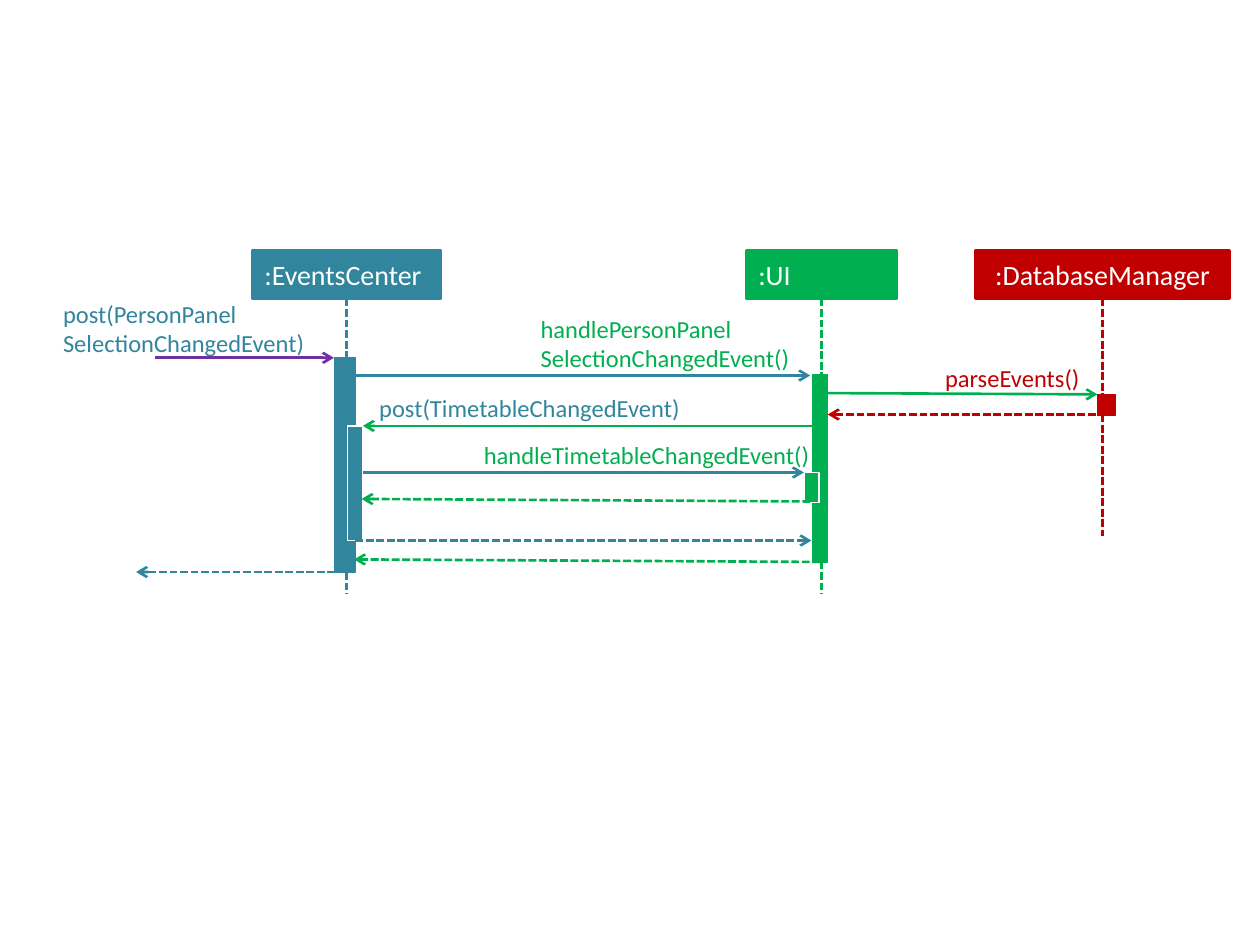
from lxml.etree import SubElement
from pptx import Presentation
from pptx.dml.color import RGBColor
from pptx.enum.dml import MSO_LINE as Dash
from pptx.enum.shapes import MSO_CONNECTOR as Conn, MSO_SHAPE as Shape
from pptx.enum.text import MSO_ANCHOR as Anchor, PP_ALIGN as Align
from pptx.oxml.ns import qn
from pptx.util import Pt

PX = 9144
TEAL = RGBColor(0x31, 0x85, 0x9C)
GREEN = RGBColor(0x00, 0xB0, 0x50)
RED = RGBColor(0xC0, 0x00, 0x00)
PURPLE = RGBColor(0x70, 0x30, 0xA0)
WHITE = RGBColor(0xFF, 0xFF, 0xFF)

deck = Presentation()
deck.slide_width, deck.slide_height = 1000 * PX, 750 * PX
slide = deck.slides.add_slide(deck.slide_layouts[6])
shapes = slide.shapes


def write(text, shape, size=14, color=WHITE, align=Align.LEFT, inset=None, anchor=Anchor.TOP):
    frame = shape.text_frame
    frame.word_wrap = True
    frame.vertical_anchor = anchor
    if inset is not None:
        frame.margin_left = frame.margin_right = inset
        frame.margin_top = frame.margin_bottom = inset
    frame.text = text
    for para in frame.paragraphs:
        para.alignment = align
        para.font.name = "Calibri"
        para.font.size = Pt(size)
        para.font.color.rgb = color


def link(x1, y1, x2, y2, color, dashed=False, arrow=True):
    line = shapes.add_connector(Conn.STRAIGHT, x1 * PX, y1 * PX, x2 * PX, y2 * PX)
    line.line.color.rgb = color
    line.line.width = Pt(1.5)
    if dashed:
        line.line.dash_style = Dash.SQUARE_DOT
    if arrow:
        SubElement(line.line._get_or_add_ln(), qn("a:tailEnd"), type="arrow")
    SubElement(line._element.spPr, qn("a:effectLst"))
    return line


actors = [
    (":DatabaseManager", 774, 202, 425, RED, Align.CENTER),
    (":EventsCenter", 200, 150, 471, TEAL, Align.JUSTIFY),
    (":UI", 592, 120, 471, GREEN, Align.JUSTIFY),
]
for name, x, w, end, color, align in actors:
    box = shapes.add_shape(Shape.RECTANGLE, x * PX, 199 * PX, w * PX, 38 * PX)
    box.shadow.inherit = False
    box.fill.solid()
    box.fill.fore_color.rgb = color
    box.line.color.rgb = color
    box.line.width = Pt(1.5)
    write(name, box, size=16, align=align, anchor=Anchor.MIDDLE)
    mid = x + w // 2
    life = link(mid, 237, mid, end, color, dashed=True, arrow=False)
    life.begin_connect(box, 2)

bars = [
    (871, 313, 14, 17, RED, RED),
    (266, 284, 16, 170, TEAL, TEAL),
    (645, 297, 12, 149, GREEN, GREEN),
    (276, 338, 12, 91, TEAL, WHITE),
    (638, 375, 12, 24, GREEN, WHITE),
]
for x, y, w, h, color, edge in bars:
    bar = shapes.add_shape(Shape.RECTANGLE, x * PX, y * PX, w * PX, h * PX)
    bar.shadow.inherit = False
    bar.fill.solid()
    bar.fill.fore_color.rgb = color
    bar.line.color.rgb = edge
    bar.line.width = Pt(0.75)

calls = [
    (123, 284, 265, 284, PURPLE),
    (282, 298, 643, 298, TEAL),
    (657, 312, 871, 313, GREEN),
    (645, 338, 288, 338, GREEN),
    (288, 375, 638, 375, TEAL),
]
for call in calls:
    link(*call)

replies = [
    (878, 329, 657, 329, RED),
    (643, 398, 287, 396, GREEN),
    (282, 429, 644, 429, TEAL),
    (651, 446, 281, 444, GREEN),
    (266, 454, 108, 454, TEAL),
]
for reply in replies:
    link(*reply, dashed=True)

labels = [
    ("post(PersonPanel\nSelectionChangedEvent)", 50, 237, 199, 47, TEAL),
    ("handlePersonPanel\nSelectionChangedEvent()", 429, 249, 201, 47, GREEN),
    ("parseEvents()", 750, 288, 112, 24, RED),
    ("post(TimetableChangedEvent)", 301, 312, 254, 24, TEAL),
    ("handleTimetableChangedEvent()", 384, 349, 262, 24, GREEN),
]
for text, x, y, w, h, color in labels:
    label = shapes.add_textbox(x * PX, y * PX, w * PX, h * PX)
    write(text, label, color=color, inset=0)

deck.save("out.pptx")
